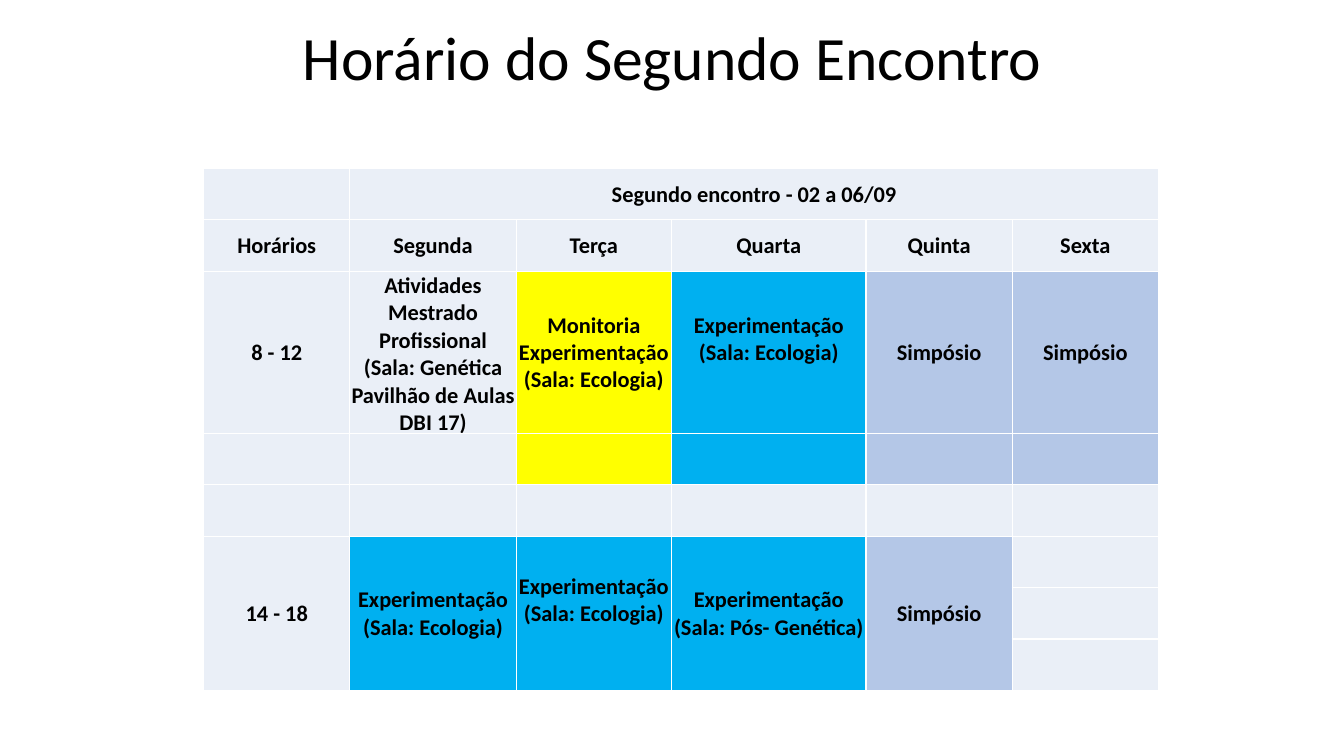
from lxml.etree import SubElement
from pptx import Presentation
from pptx.dml.color import RGBColor
from pptx.enum.text import MSO_ANCHOR, PP_ALIGN
from pptx.oxml.ns import qn
from pptx.util import Inches, Pt

FONT = "Calibri"
BLACK, WHITE = "000000", "FFFFFF"
PALE, YELLOW, BLUE, LILAC = "EAEFF7", "FFFF00", "00B0F0", "B4C7E7"

TITLE = "Horário do Segundo Encontro"
COLUMN_WIDTHS = [1.45, 1.65, 1.54, 1.93, 1.45, 1.45]
ROW_HEIGHTS = [0.51, 0.51, 1.61, 0.51, 0.51, 0.51, 0.51, 0.51]

CLASS = ["Experimentação", "(Sala: Ecologia)"]
TEXTS = {
    (0, 1): ["Segundo encontro - 02 a 06/09"],
    (1, 0): ["Horários"],
    (1, 1): ["Segunda"],
    (1, 2): ["Terça"],
    (1, 3): ["Quarta"],
    (1, 4): ["Quinta"],
    (1, 5): ["Sexta"],
    (2, 0): ["8 - 12"],
    (2, 1): ["Atividades", "Mestrado Profissional",
             "(Sala: Genética Pavilhão de Aulas DBI 17)"],
    (2, 2): ["Monitoria", *CLASS],
    (2, 3): CLASS,
    (2, 4): ["Simpósio"],
    (2, 5): ["Simpósio"],
    (5, 0): ["14 - 18"],
    (5, 1): CLASS,
    (5, 2): CLASS,
    (5, 3): ["Experimentação", "(Sala: Pós- Genética)"],
    (5, 4): ["Simpósio"],
}
MORNING = [PALE, PALE, YELLOW, BLUE, LILAC, LILAC]
AFTERNOON = [PALE, BLUE, BLUE, BLUE, LILAC, PALE]
PLAIN = [PALE] * 6
FILLS = [PLAIN, PLAIN, MORNING, MORNING, PLAIN, AFTERNOON, AFTERNOON, AFTERNOON]
MERGES = [((0, 1), (0, 5))] + [((5, column), (7, column)) for column in range(5)]
RAISED_CELLS = {(2, 3), (5, 2)}  # text sits half a line above the middle


def color(hex_code):
    return RGBColor.from_string(hex_code)


def write(frame, lines, size, bold=False):
    frame.word_wrap = True
    for index, line in enumerate(lines):
        para = frame.paragraphs[0] if index == 0 else frame.add_paragraph()
        para.alignment = PP_ALIGN.CENTER
        span = para.add_run()
        span.text = line
        span.font.name = FONT
        span.font.size = Pt(size)
        span.font.bold = bold
        span.font.color.rgb = color(BLACK)


def add_borders(cell):
    properties = cell._tc.get_or_add_tcPr()
    for side in ("lnL", "lnR", "lnT", "lnB"):
        line = SubElement(properties, qn(f"a:{side}"), w=str(Pt(1)))
        fill = SubElement(line, qn("a:solidFill"))
        SubElement(fill, qn("a:srgbClr"), val=WHITE)


def add_title(page):
    box = page.shapes.add_textbox(Inches(0.92), Inches(-0.12), Inches(11.5), Inches(1.45))
    box.text_frame.vertical_anchor = MSO_ANCHOR.MIDDLE
    write(box.text_frame, [TITLE], 44)
    box.text_frame.paragraphs[0].line_spacing = 0.9


def add_timetable(page):
    table = page.shapes.add_table(
        len(ROW_HEIGHTS), len(COLUMN_WIDTHS), Inches(2.02), Inches(1.67),
        Inches(sum(COLUMN_WIDTHS)), Inches(sum(ROW_HEIGHTS))).table
    table.first_row = table.horz_banding = False
    for column, width in zip(table.columns, COLUMN_WIDTHS):
        column.width = Inches(width)
    for row, height in zip(table.rows, ROW_HEIGHTS):
        row.height = Inches(height)
    for first, last in MERGES:
        table.cell(*first).merge(table.cell(*last))

    for row, fills in enumerate(FILLS):
        for column, fill in enumerate(fills):
            cell = table.cell(row, column)
            add_borders(cell)
            cell.fill.solid()
            cell.fill.fore_color.rgb = color(fill)
            place = (row, column)
            if place in TEXTS:
                cell.vertical_anchor = MSO_ANCHOR.MIDDLE
                cell.margin_left = cell.margin_right = cell.margin_top = Inches(0.01)
                cell.margin_bottom = Inches(0.27 if place in RAISED_CELLS else 0)
                write(cell.text_frame, TEXTS[place], 16, bold=True)


def main():
    deck = Presentation()
    deck.slide_width, deck.slide_height = Inches(13.33), Inches(7.5)
    page = deck.slides.add_slide(deck.slide_layouts[6])
    add_title(page)
    add_timetable(page)
    deck.save("out.pptx")


if __name__ == "__main__":
    main()
